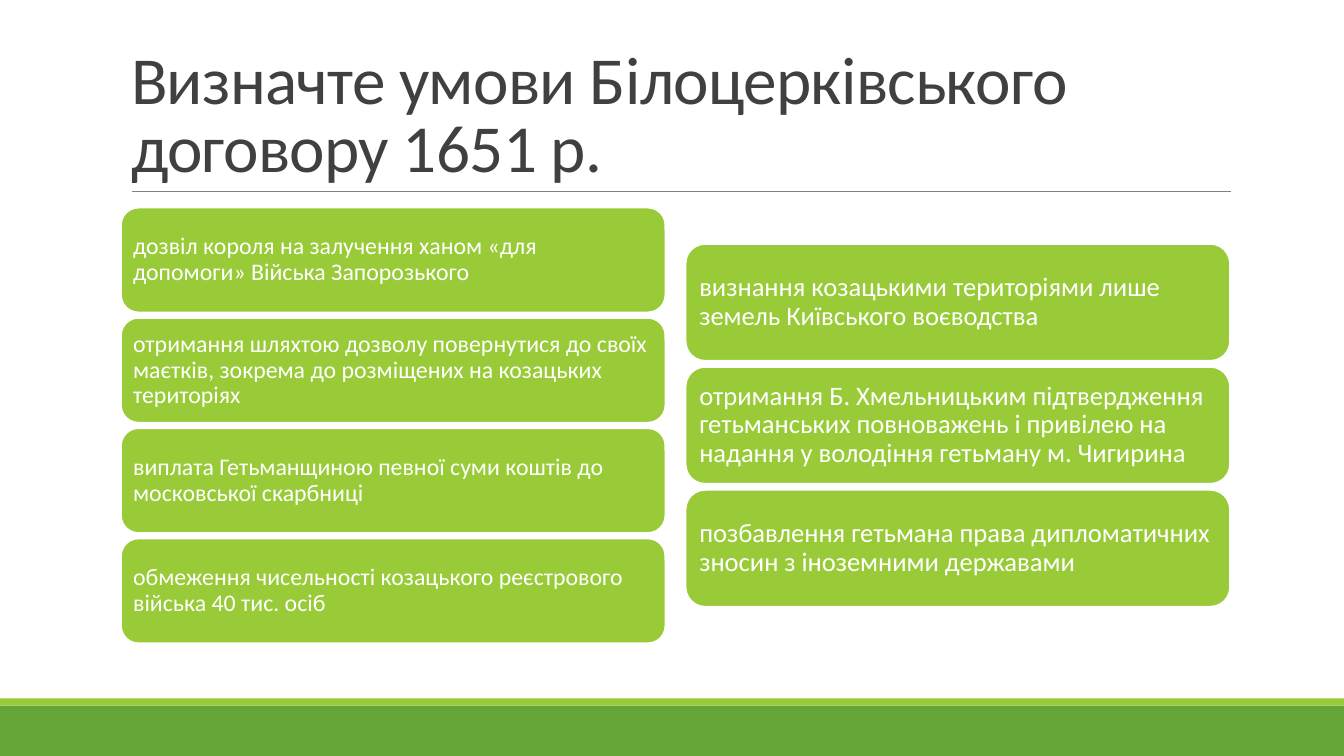
from pptx import Presentation
from pptx.dml.color import RGBColor
from pptx.enum.shapes import MSO_CONNECTOR, MSO_SHAPE
from pptx.enum.text import MSO_ANCHOR, MSO_AUTO_SIZE, PP_ALIGN
from pptx.oxml.ns import qn
from pptx.util import Inches, Pt
from lxml import etree

TITLE = "Визначте умови Білоцерківського договору 1651 р."
COLUMNS = [
    dict(left=1.2, top=2.06, height=1.04, pitch=1.094, size=17, inset=0.07, terms=[
        "дозвіл короля на залучення ханом «для допомоги» Війська Запорозького",
        "отримання шляхтою дозволу повернутися до своїх маєтків, зокрема до розміщених "
        "на козацьких територіях",
        "виплата Гетьманщиною певної суми коштів до московської скарбниці",
        "обмеження чисельності козацького реєстрового війська 40 тис. осіб",
    ]),
    dict(left=6.8, top=2.42, height=1.16, pitch=1.22, size=19, inset=0.08, terms=[
        "визнання козацькими територіями лише земель Київського воєводства",
        "отримання Б. Хмельницьким підтвердження гетьманських повноважень і привілею "
        "на надання у володіння гетьману м. Чигирина",
        "позбавлення гетьмана права дипломатичних зносин з іноземними державами",
    ]),
]
CARD_WIDTH = 5.4
COLORS = {"green": "63A537", "lime": "99CB38", "rule": "808080",
          "title": "404040", "white": "FFFFFF"}


def rgb(name):
    return RGBColor.from_string(COLORS[name])


def write(sp, text, size, color, anchor, spacing, after=0, tracking=0):
    tf = sp.text_frame
    tf.word_wrap = True
    tf.auto_size = MSO_AUTO_SIZE.NONE
    tf.vertical_anchor = anchor
    p = tf.paragraphs[0]
    p.alignment = PP_ALIGN.LEFT
    p.line_spacing = spacing
    p.space_after = Pt(after)
    r = p.add_run()
    r.text = text
    r.font.name = "Calibri"
    r.font.size = Pt(size)
    r.font.color.rgb = rgb(color)
    if tracking:
        r.font._element.set("spc", str(int(tracking * 100)))


def add_block(s, kind, left, top, width, height, fill):
    sp = s.shapes.add_shape(kind, Inches(left), Inches(top), Inches(width), Inches(height))
    sp.shadow.inherit = False
    sp.fill.solid()
    sp.fill.fore_color.rgb = rgb(fill)
    sp.line.fill.background()
    return sp


def add_card(s, column, row, term):
    sp = add_block(s, MSO_SHAPE.ROUNDED_RECTANGLE, column["left"],
                   column["top"] + row * column["pitch"],
                   CARD_WIDTH, column["height"], "lime")
    sp.line.color.rgb = rgb("white")
    sp.line.width = Pt(1.25)
    tf = sp.text_frame
    tf.margin_left = tf.margin_right = Inches(column["inset"])
    tf.margin_top = tf.margin_bottom = Inches(column["inset"])
    write(sp, term, column["size"], "white", MSO_ANCHOR.MIDDLE, 0.9,
          after=0.35 * column["size"])


def main():
    prs = Presentation()
    prs.slide_width, prs.slide_height = Inches(13.33), Inches(7.5)
    s = prs.slides.add_slide(prs.slide_layouts[5])

    add_block(s, MSO_SHAPE.RECTANGLE, 0, 7, 13.33, 0.5, "green")
    add_block(s, MSO_SHAPE.RECTANGLE, 0, 6.93, 13.33, 0.07, "lime")
    rule = s.shapes.add_connector(MSO_CONNECTOR.STRAIGHT, Inches(1.31), Inches(1.9),
                                  Inches(12.21), Inches(1.9))
    rule.line.color.rgb = rgb("rule")
    rule.line.width = Pt(0.5)
    etree.SubElement(rule._element.spPr, qn("a:effectLst"))

    title = s.shapes.title
    title.left, title.top = Inches(1.2), Inches(0.31)
    title.width, title.height = Inches(11), Inches(1.59)
    write(title, TITLE, 48, "title", MSO_ANCHOR.BOTTOM, 0.85, tracking=-0.5)

    for column in COLUMNS:
        for row, term in enumerate(column["terms"]):
            add_card(s, column, row, term)

    prs.save("out.pptx")


if __name__ == "__main__":
    main()
